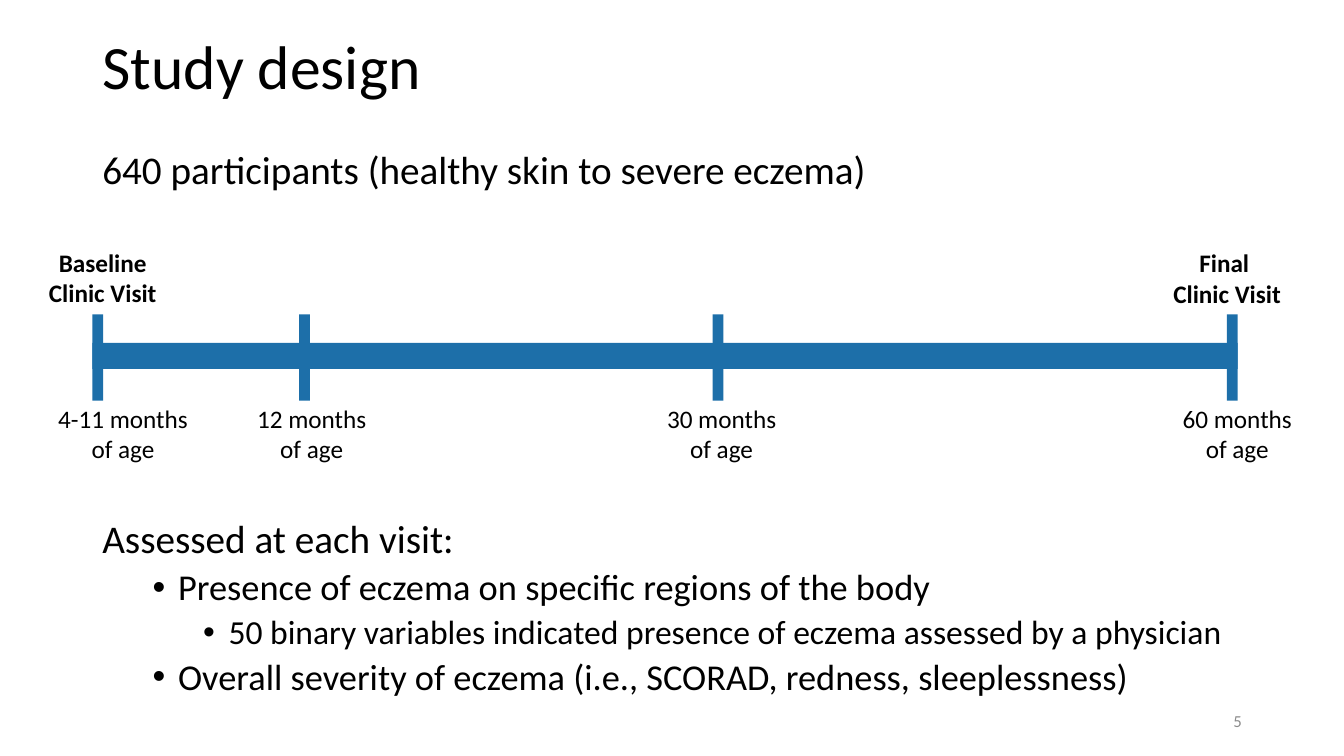
from dataclasses import dataclass
from lxml.etree import SubElement
from pptx import Presentation
from pptx.dml.color import RGBColor
from pptx.enum.shapes import MSO_SHAPE
from pptx.enum.text import MSO_ANCHOR, MSO_AUTO_SIZE, PP_ALIGN
from pptx.oxml.ns import qn
from pptx.util import Cm, Pt


@dataclass(frozen=True)
class Theme:
    font: str = "Calibri"
    ink: RGBColor = RGBColor(0x00, 0x00, 0x00)
    muted: RGBColor = RGBColor(0x8C, 0x8C, 0x8C)
    timeline: RGBColor = RGBColor(0x1D, 0x6F, 0xA9)
    title: int = 44
    levels: tuple = (28, 26, 24)
    label: int = 18
    page: int = 12


theme = Theme()
deck = Presentation()
deck.slide_width, deck.slide_height = Cm(33.87), Cm(19.05)
slide = deck.slides.add_slide(deck.slide_layouts[5])


def add_text(frame, text, size, align=PP_ALIGN.LEFT, bold=False, color=theme.ink):
    frame.word_wrap = True
    for index, line in enumerate(text.split("\n")):
        paragraph = frame.add_paragraph() if index else frame.paragraphs[0]
        paragraph.alignment = align
        run = paragraph.add_run()
        run.text = line
        run.font.name = theme.font
        run.font.size = Pt(size)
        run.font.bold = bold
        run.font.color.rgb = color


def add_bar(left, top, width, height):
    bar = slide.shapes.add_shape(MSO_SHAPE.RECTANGLE, Cm(left), Cm(top), Cm(width), Cm(height))
    bar.shadow.inherit = False
    bar.fill.solid()
    bar.fill.fore_color.rgb = theme.timeline
    bar.line.fill.background()


heading = slide.shapes.title
heading.left, heading.top, heading.width, heading.height = Cm(2.33), Cm(0.58), Cm(29.21), Cm(2.36)
heading.text_frame.auto_size = MSO_AUTO_SIZE.NONE
heading.text_frame.vertical_anchor = MSO_ANCHOR.MIDDLE
add_text(heading.text_frame, "Study design", theme.title)
heading.text_frame.paragraphs[0].line_spacing = 0.9

participants = slide.shapes.add_textbox(Cm(2.33), Cm(3.68), Cm(29.21), Cm(1.4)).text_frame
add_text(participants, "640 participants (healthy skin to severe eczema)", theme.levels[0])
participants.paragraphs[0].line_spacing = 0.9

assessments = slide.shapes.add_textbox(Cm(2.33), Cm(12.98), Cm(29.21), Cm(5.2)).text_frame
add_text(
    assessments,
    "Assessed at each visit:\n"
    "Presence of eczema on specific regions of the body\n"
    "50 binary variables indicated presence of eczema assessed by a physician\n"
    "Overall severity of eczema (i.e., SCORAD, redness, sleeplessness)",
    theme.levels[0],
)
for paragraph, level in zip(assessments.paragraphs, (0, 1, 2, 1)):
    paragraph.level = level
    paragraph.line_spacing = 0.9
    paragraph.runs[0].font.size = Pt(theme.levels[level])
    if level:
        paragraph.space_before = Pt(5)
        properties = paragraph._p.get_or_add_pPr()
        properties.set("marL", str(Cm(1.27 * level + 0.64)))
        properties.set("indent", str(Cm(-0.64)))
        SubElement(properties, qn("a:buFont"), typeface="Arial")
        SubElement(properties, qn("a:buChar"), char="•")

add_bar(2.33, 8.64, 28.86, 0.66)
for tick_left in (2.33, 7.54, 17.96, 30.92):
    add_bar(tick_left, 7.92, 0.27, 2.18)

visit_labels = [
    ("4-11 months of age", 0.99, 10.03, 4.22, False),
    ("12 months of age", 6.1, 10.03, 3.51, False),
    ("30 months of age", 16.46, 10.03, 3.45, False),
    ("60 months of age", 29.49, 10.03, 3.38, False),
    ("Baseline Clinic Visit", 0.81, 6.1, 3.56, True),
    ("Final \nClinic Visit", 29.26, 6.12, 3.33, True),
]
for label, left, top, width, bold in visit_labels:
    visit = slide.shapes.add_textbox(Cm(left), Cm(top), Cm(width), Cm(1.8))
    add_text(visit.text_frame, label, theme.label, PP_ALIGN.CENTER, bold)

page_number = slide.shapes.add_textbox(Cm(23.93), Cm(17.65), Cm(7.62), Cm(1.02)).text_frame
page_number.vertical_anchor = MSO_ANCHOR.MIDDLE
add_text(page_number, "5", theme.page, PP_ALIGN.RIGHT, color=theme.muted)

deck.save("out.pptx")
